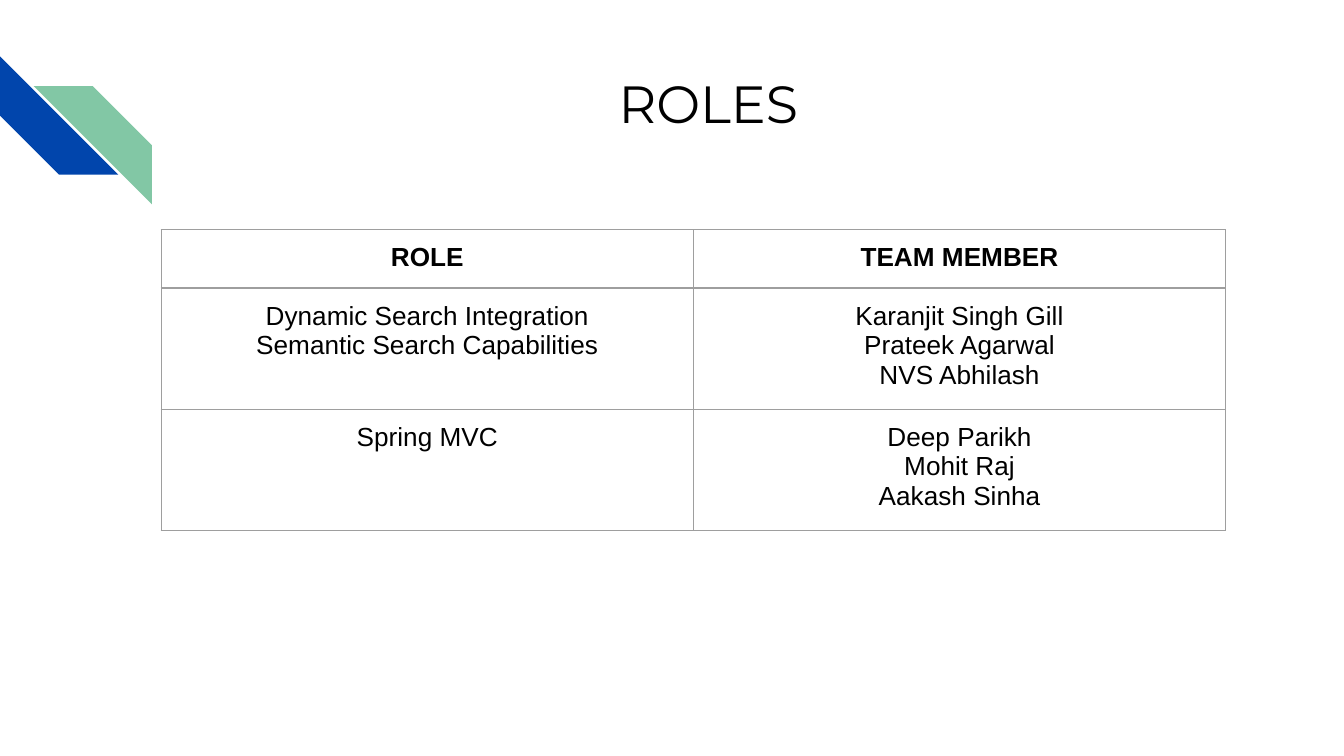
from dataclasses import dataclass

from lxml.etree import SubElement
from pptx import Presentation
from pptx.dml.color import RGBColor
from pptx.enum.shapes import MSO_SHAPE
from pptx.enum.text import MSO_ANCHOR, PP_ALIGN
from pptx.oxml.ns import qn
from pptx.util import Inches, Pt


@dataclass(frozen=True)
class Theme:
    blue: str = "0145AC"
    green: str = "82C7A5"
    text: str = "000000"
    border: str = "9E9E9E"
    border_width: float = 0.75
    title_font: str = "Montserrat"
    body_font: str = "Arial"
    title_size: int = 28
    body_size: int = 14


THEME = Theme()
INSET = Inches(0.1)

ROLES = [
    (["ROLE"], ["TEAM MEMBER"]),
    (["Dynamic Search Integration", "Semantic Search Capabilities"],
     ["Karanjit Singh Gill", "Prateek Agarwal", "NVS Abhilash"]),
    (["Spring MVC"], ["Deep Parikh", "Mohit Raj", "Aakash Sinha"]),
]
ROW_HEIGHT = 0.42  # a minimum: rows grow with their text
COLUMN_WIDTH = 3.96


def add_stripe(page, left, top, rotation, color):
    stripe = page.shapes.add_shape(MSO_SHAPE.DIAGONAL_STRIPE, Inches(left),
                                   Inches(top), Inches(0.88), Inches(0.88))
    stripe.rotation = rotation
    stripe.shadow.inherit = False
    stripe.fill.solid()
    stripe.fill.fore_color.rgb = RGBColor.from_string(color)
    stripe.line.fill.background()


def write_centred(text_frame, lines, font, size, bold=False):
    text_frame.word_wrap = True
    text_frame.text = "\n".join(lines)
    for para in text_frame.paragraphs:
        para.alignment = PP_ALIGN.CENTER
        for span in para.runs:
            span.font.name = font
            span.font.size = Pt(size)
            span.font.bold = bold
            span.font.color.rgb = RGBColor.from_string(THEME.text)


def set_insets(holder):
    holder.margin_left = holder.margin_right = INSET
    holder.margin_top = holder.margin_bottom = INSET


def add_title(page, text):
    box = page.shapes.add_textbox(Inches(1.42), Inches(0.43),
                                  Inches(7.7), Inches(1))
    set_insets(box.text_frame)
    box.text_frame.vertical_anchor = MSO_ANCHOR.TOP
    write_centred(box.text_frame, [text], THEME.title_font, THEME.title_size)


def set_borders(cell):
    properties = cell._tc.get_or_add_tcPr()
    # Borders must come before the fill in the cell properties
    for index, side in enumerate(("a:lnL", "a:lnR", "a:lnT", "a:lnB")):
        line = SubElement(properties, qn(side), w=str(Pt(THEME.border_width)))
        fill = SubElement(line, qn("a:solidFill"))
        SubElement(fill, qn("a:srgbClr"), val=THEME.border)
        properties.insert(index, line)


def add_roles_table(page, left, top):
    rows, columns = len(ROLES), len(ROLES[0])
    frame = page.shapes.add_table(
        rows, columns, Inches(left), Inches(top),
        Inches(COLUMN_WIDTH * columns), Inches(ROW_HEIGHT * rows))
    table = frame.table
    table.first_row = table.horz_banding = False
    for row_index, entries in enumerate(ROLES):
        for column_index, lines in enumerate(entries):
            cell = table.cell(row_index, column_index)
            set_insets(cell)
            cell.fill.background()
            set_borders(cell)
            write_centred(cell.text_frame, lines, THEME.body_font,
                          THEME.body_size, bold=row_index == 0)


def main():
    # Widescreen page, 16 to 9
    deck = Presentation()
    deck.slide_width = Inches(10)
    deck.slide_height = Inches(10 * 9 / 16)
    page = deck.slides.add_slide(deck.slide_layouts[6])

    # Corner decoration
    add_stripe(page, 0, 0.42, 270, THEME.blue)
    add_stripe(page, 0.25, 0.64, 90, THEME.green)

    # Title and table of roles
    add_title(page, "ROLES")
    add_roles_table(page, 1.2, 1.71)

    deck.save("out.pptx")


if __name__ == "__main__":
    main()
